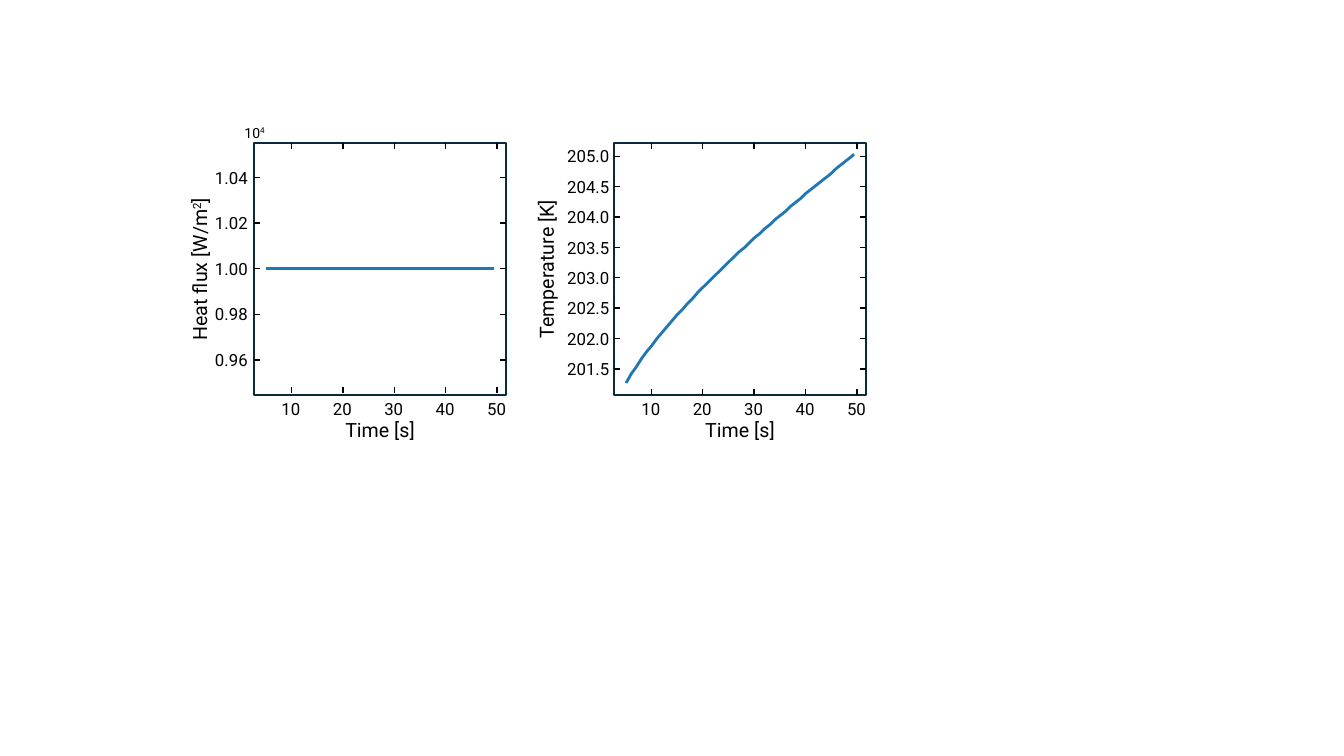
import dataclasses

import pptx
import pptx.dml.color
import pptx.enum.shapes
import pptx.enum.text
import pptx.oxml.ns
import pptx.util
from lxml import etree

Inches = pptx.util.Inches
Pt = pptx.util.Pt
RGBColor = pptx.dml.color.RGBColor

BLACK = RGBColor(0x00, 0x00, 0x00)
FRAME_COLOR = RGBColor(0x09, 0x2A, 0x39)
CURVE_COLOR = RGBColor(0x1F, 0x77, 0xB4)

SIDE = 2.5
TOP = 1.42
TICK = 0.06
LABEL_HEIGHT = 0.3
TITLE_HEIGHT = 0.34
TIME_LABELS = ["10", "20", "30", "40", "50"]
FIRST_TIME_OFFSET, LAST_TIME_OFFSET = 0.37, 2.41

Point = tuple[float, float]
Run = tuple[str, bool]

TEMPERATURE_HEIGHTS = [
    3.80, 3.71, 3.64, 3.56, 3.49, 3.43, 3.36, 3.30, 3.24, 3.18, 3.12, 3.07,
    3.01, 2.96, 2.90, 2.85, 2.80, 2.75, 2.70, 2.65, 2.60, 2.55, 2.50, 2.46,
    2.41, 2.36, 2.32, 2.27, 2.23, 2.18, 2.14, 2.10, 2.05, 2.01, 1.97, 1.92,
    1.88, 1.84, 1.80, 1.76, 1.72, 1.67, 1.63, 1.59, 1.55,
]


@dataclasses.dataclass(frozen=True)
class Plot:
    left: float
    curve: list[Point]
    value_labels: list[str]
    lowest_tick: float
    highest_tick: float
    label_left: float
    label_width: float
    bottom_tick: float
    title: list[Run]
    title_left: float


def spread(first: float, last: float, count: int) -> list[float]:
    return [first + (last - first) * index / (count - 1) for index in range(count)]


TEMPERATURE_TIMES = spread(6.21, 8.45, len(TEMPERATURE_HEIGHTS))

PLOTS = [
    Plot(
        left=2.52,
        curve=[(2.64, 2.66), (4.9, 2.66)],
        value_labels=["0.96", "0.98", "1.00", "1.02", "1.04"],
        lowest_tick=3.57,
        highest_tick=1.76,
        label_left=2.03,
        label_width=0.53,
        bottom_tick=3.84,
        title=[("Heat flux [W/m", False), ("2", True), ("]", False)],
        title_left=0.73,
    ),
    Plot(
        left=6.09,
        curve=[*zip(TEMPERATURE_TIMES, TEMPERATURE_HEIGHTS), (8.47, 1.53)],
        value_labels=["201.5", "202.0", "202.5", "203.0", "203.5", "204.0", "204.5", "205.0"],
        lowest_tick=3.66,
        highest_tick=1.55,
        label_left=5.46,
        label_width=0.75,
        bottom_tick=3.86,
        title=[("Temperature [K]", False)],
        title_left=4.17,
    ),
]


def add_line(page, start: Point, end: Point, color: RGBColor = BLACK, width: float = 1) -> None:
    line = page.shapes.add_connector(
        pptx.enum.shapes.MSO_CONNECTOR.STRAIGHT, *map(Inches, (*start, *end))
    )
    line.line.color.rgb = color
    line.line.width = Pt(width)
    properties = line._element.spPr
    etree.SubElement(properties, pptx.oxml.ns.qn("a:effectLst"))


def add_curve(page, points: list[Point]) -> None:
    if len(points) == 2:
        add_line(page, points[0], points[1], CURVE_COLOR, 2)
        return
    corners = [(Inches(x), Inches(y)) for x, y in points]
    builder = page.shapes.build_freeform(*corners[0])
    builder.add_line_segments(corners[1:], close=False)
    curve = builder.convert_to_shape()
    curve.shadow.inherit = False
    curve.fill.background()
    curve.line.color.rgb = CURVE_COLOR
    curve.line.width = Pt(2)


def add_text(
    page, runs: list[Run], left: float, top: float, width: float, height: float,
    size: float, wrap: bool = False, middle: bool = True, rotation: float = 0,
) -> None:
    box = page.shapes.add_textbox(*map(Inches, (left, top, width, height)))
    box.rotation = rotation
    anchors = pptx.enum.text.MSO_ANCHOR
    frame_format = {
        "word_wrap": wrap,
        "auto_size": pptx.enum.text.MSO_AUTO_SIZE.SHAPE_TO_FIT_TEXT,
        "vertical_anchor": anchors.MIDDLE if middle else anchors.TOP,
    }
    for name, value in frame_format.items():
        setattr(box.text_frame, name, value)
    para = box.text_frame.paragraphs[0]
    para.alignment = pptx.enum.text.PP_ALIGN.CENTER
    for text, raised in runs:
        span = para.add_run()
        span.text = text
        for name, value in {"name": "Roboto", "size": Pt(size)}.items():
            setattr(span.font, name, value)
        span.font.color.rgb = BLACK
        if raised:
            span.font._element.set("baseline", "30000")


def add_axis_title(page, runs: list[Run], left: float, top: float, rotation: float = 0) -> None:
    add_text(page, runs, left, top, SIDE, TITLE_HEIGHT, 14, True, False, rotation)


def add_plot(page, plot: Plot) -> None:
    right = plot.left + SIDE
    times = spread(
        plot.left + FIRST_TIME_OFFSET, plot.left + LAST_TIME_OFFSET, len(TIME_LABELS)
    )
    values = spread(plot.lowest_tick, plot.highest_tick, len(plot.value_labels))

    add_curve(page, plot.curve)
    frame = page.shapes.add_shape(
        pptx.enum.shapes.MSO_SHAPE.RECTANGLE,
        *map(Inches, (plot.left, TOP, SIDE, SIDE)),
    )
    frame.shadow.inherit = False
    frame.fill.background()
    frame.line.color.rgb = FRAME_COLOR
    frame.line.width = Pt(1)

    for x, label in zip(times, TIME_LABELS):
        for y in (TOP, plot.bottom_tick):
            add_line(page, (x, y + TICK), (x, y))
        add_text(page, [(label, False)], x - 0.2, 3.91, 0.39, LABEL_HEIGHT, 12)

    for y, label in zip(values, plot.value_labels):
        for x in (plot.left, right - TICK):
            add_line(page, (x, y), (x + TICK, y))
        add_text(
            page, [(label, False)], plot.label_left, y - LABEL_HEIGHT / 2,
            plot.label_width, LABEL_HEIGHT, 12,
        )

    add_axis_title(page, plot.title, plot.title_left, 2.5, 270)
    add_axis_title(page, [("Time [s]", False)], plot.left, 4.1)


def main() -> None:
    deck = pptx.Presentation()
    deck.slide_width = Inches(13.33)
    deck.slide_height = Inches(7.5)
    page = deck.slides.add_slide(deck.slide_layouts[6])
    for plot in PLOTS:
        add_plot(page, plot)
    add_text(page, [("10", False), ("4", True)], 2.32, 1.18, 0.41, 0.27, 10)
    deck.save("out.pptx")


if __name__ == "__main__":
    main()
